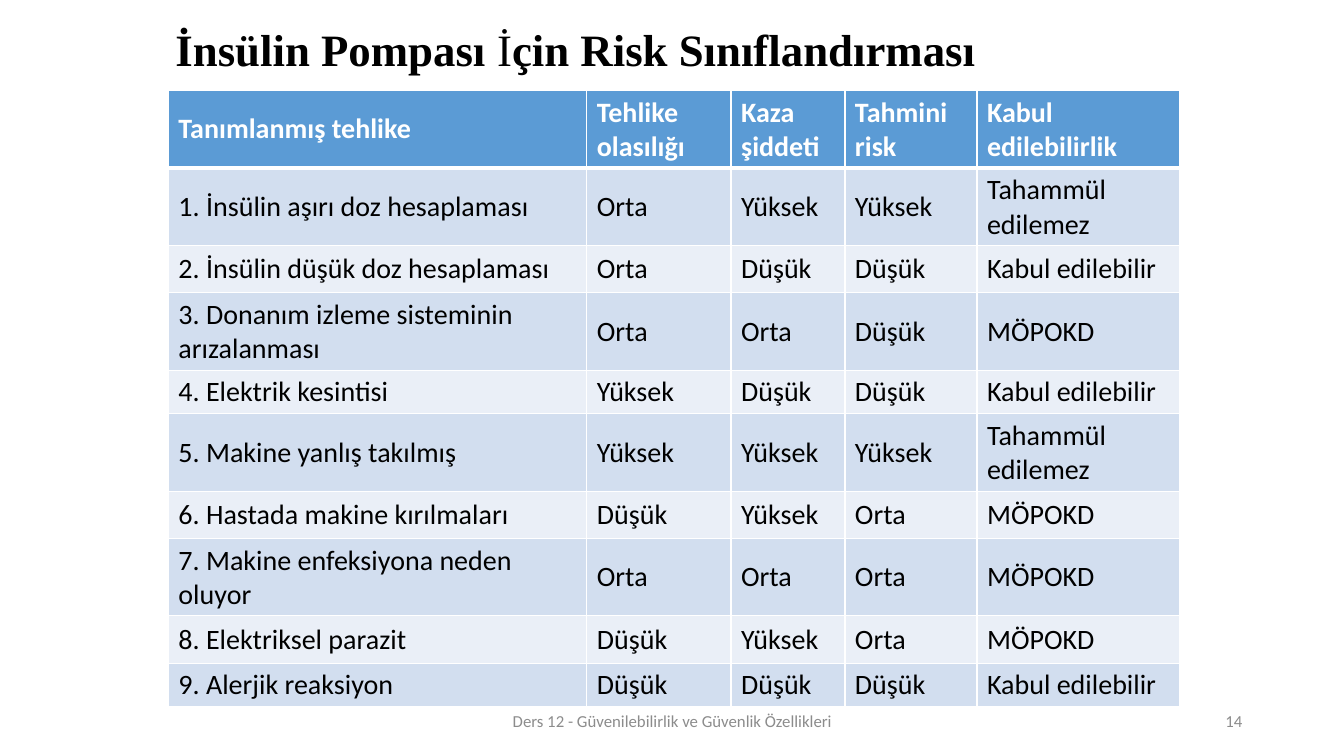
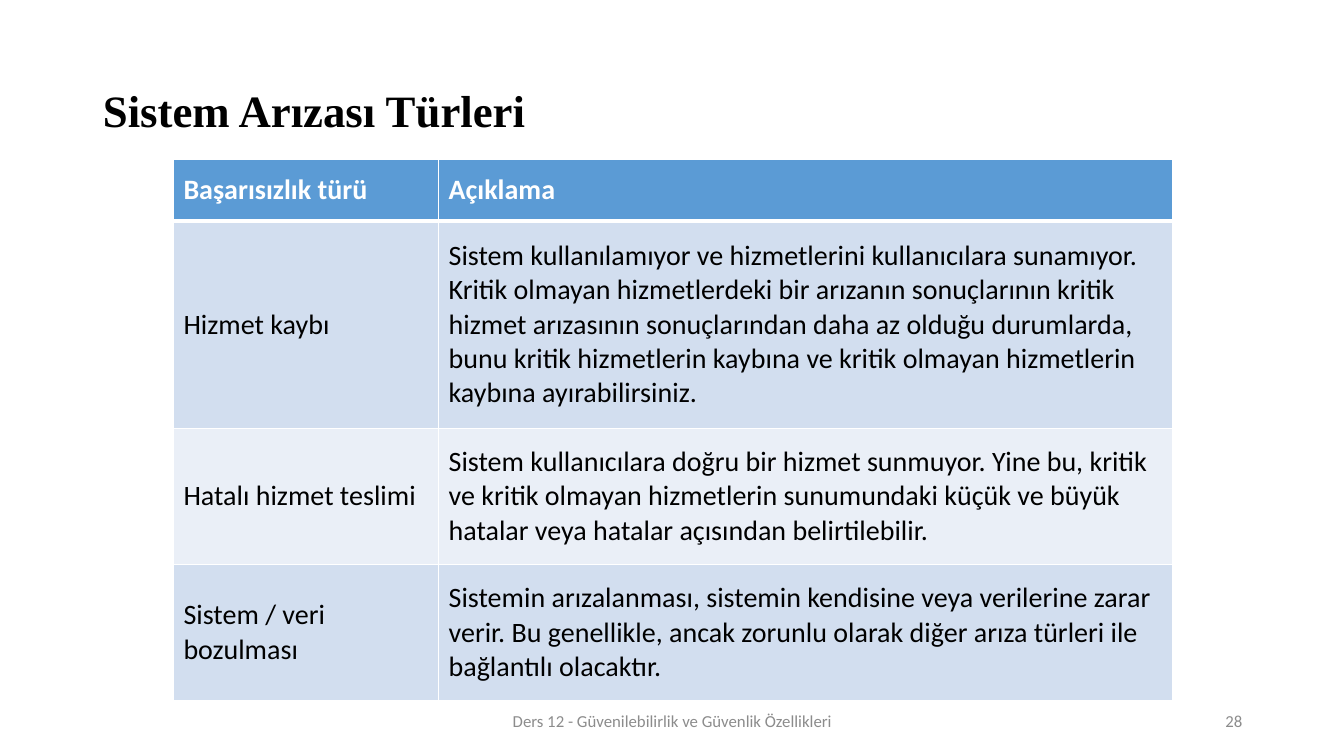
from dataclasses import dataclass

import pptx
import pptx.dml.color
import pptx.enum.text
import pptx.oxml.ns
import pptx.util
from lxml import etree

Inches = pptx.util.Inches
Pt = pptx.util.Pt
Align = pptx.enum.text.PP_ALIGN
Anchor = pptx.enum.text.MSO_ANCHOR


@dataclass(frozen=True)
class Theme:
    title_font: str = "Times New Roman"
    body_font: str = "Calibri"
    title_size: int = 32
    table_size: int = 20
    footer_size: int = 12
    text: str = "000000"
    header_text: str = "FFFFFF"
    footer_text: str = "8C8C8C"
    header_fill: str = "5B9BD5"
    band_fills: tuple = ("D2DEEF", "EAEFF7")
    border: str = "FFFFFF"
    border_width: int = 1
    header_rule_width: int = 3


THEME = Theme()
FOOTER = "Ders 12 - Güvenilebilirlik ve Güvenlik Özellikleri"
TITLE_ONLY = 5

RISK_ROWS = [
    ("Tanımlanmış tehlike", "Tehlike olasılığı", "Kaza şiddeti", "Tahmini risk",
     "Kabul edilebilirlik"),
    ("1. İnsülin aşırı doz hesaplaması", "Orta", "Yüksek", "Yüksek", "Tahammül edilemez"),
    ("2. İnsülin düşük doz hesaplaması", "Orta", "Düşük", "Düşük", "Kabul edilebilir"),
    ("3. Donanım izleme sisteminin arızalanması", "Orta", "Orta", "Düşük", "MÖPOKD"),
    ("4. Elektrik kesintisi", "Yüksek", "Düşük", "Düşük", "Kabul edilebilir"),
    ("5. Makine yanlış takılmış", "Yüksek", "Yüksek", "Yüksek", "Tahammül edilemez"),
    ("6. Hastada makine kırılmaları", "Düşük", "Yüksek", "Orta", "MÖPOKD"),
    ("7. Makine enfeksiyona neden oluyor", "Orta", "Orta", "Orta", "MÖPOKD"),
    ("8. Elektriksel parazit", "Düşük", "Yüksek", "Orta", "MÖPOKD"),
    ("9. Alerjik reaksiyon", "Düşük", "Düşük", "Düşük", "Kabul edilebilir"),
]

FAILURE_ROWS = [
    ("Başarısızlık türü", "Açıklama"),
    ("Hizmet kaybı",
     "Sistem kullanılamıyor ve hizmetlerini kullanıcılara sunamıyor. Kritik olmayan "
     "hizmetlerdeki bir arızanın sonuçlarının kritik hizmet arızasının sonuçlarından "
     "daha az olduğu durumlarda, bunu kritik hizmetlerin kaybına ve kritik olmayan "
     "hizmetlerin kaybına ayırabilirsiniz."),
    ("Hatalı hizmet teslimi",
     "Sistem kullanıcılara doğru bir hizmet sunmuyor. Yine bu, kritik ve kritik olmayan "
     "hizmetlerin sunumundaki küçük ve büyük hatalar veya hatalar açısından "
     "belirtilebilir."),
    ("Sistem / veri bozulması",
     "Sistemin arızalanması, sistemin kendisine veya verilerine zarar verir. Bu "
     "genellikle, ancak zorunlu olarak diğer arıza türleri ile bağlantılı olacaktır."),
]


def rgb(value):
    return pptx.dml.color.RGBColor.from_string(value)


def style_run(run, font, size, color, bold=False):
    run.font.name = font
    run.font.size = Pt(size)
    run.font.color.rgb = rgb(color)
    run.font.bold = bold


def set_title(slide, box, parts):
    """Place the title; parts are (text, bold) pairs."""
    title = slide.shapes.title
    title.left, title.top, title.width, title.height = map(Inches, box)
    frame = title.text_frame
    frame.word_wrap = True
    frame.auto_size = pptx.enum.text.MSO_AUTO_SIZE.NONE
    frame.vertical_anchor = Anchor.MIDDLE
    paragraph = frame.paragraphs[0]
    paragraph.alignment = Align.LEFT
    paragraph.line_spacing = 0.9
    for text, bold in parts:
        run = paragraph.add_run()
        run.text = text
        style_run(run, THEME.title_font, THEME.title_size, THEME.text, bold)


def add_footer_text(slide, left, width, text, alignment):
    footer = slide.shapes.add_textbox(Inches(left), Inches(6.95), Inches(width), Inches(0.4))
    frame = footer.text_frame
    frame.word_wrap = True
    frame.vertical_anchor = Anchor.MIDDLE
    frame.text = text
    frame.paragraphs[0].alignment = alignment
    style_run(frame.paragraphs[0].runs[0], THEME.body_font, THEME.footer_size,
              THEME.footer_text)


def add_slide(deck, title_box, title_parts, number):
    slide = deck.slides.add_slide(deck.slide_layouts[TITLE_ONLY])
    set_title(slide, title_box, title_parts)
    add_footer_text(slide, 9.42, 3, str(number), Align.RIGHT)
    add_footer_text(slide, 4.42, 4.5, FOOTER, Align.CENTER)
    return slide


def set_borders(cell, bottom_width):
    qn = pptx.oxml.ns.qn
    properties = cell._tc.get_or_add_tcPr()
    for side in "LRTB":
        width = bottom_width if side == "B" else THEME.border_width
        line = etree.SubElement(properties, qn(f"a:ln{side}"), w=str(Pt(width)))
        fill = etree.SubElement(line, qn("a:solidFill"))
        etree.SubElement(fill, qn("a:srgbClr"), val=THEME.border)


def format_cell(cell, text, row_index):
    is_header = row_index == 0
    set_borders(cell, THEME.header_rule_width if is_header else THEME.border_width)
    cell.fill.solid()
    band = THEME.band_fills[(row_index - 1) % len(THEME.band_fills)]
    cell.fill.fore_color.rgb = rgb(THEME.header_fill if is_header else band)
    cell.vertical_anchor = Anchor.MIDDLE
    cell.text_frame.text = text
    style_run(cell.text_frame.paragraphs[0].runs[0], THEME.body_font, THEME.table_size,
              THEME.header_text if is_header else THEME.text, is_header)


def add_banded_table(slide, box, column_widths, row_heights, rows):
    table = slide.shapes.add_table(len(rows), len(column_widths), *map(Inches, box)).table
    table.horz_banding = False
    for column, width in zip(table.columns, column_widths):
        column.width = Inches(width)
    for row_index, (row, height, texts) in enumerate(zip(table.rows, row_heights, rows)):
        row.height = Inches(height)
        for cell, text in zip(row.cells, texts):
            format_cell(cell, text, row_index)


def main():
    deck = pptx.Presentation()
    deck.slide_width, deck.slide_height = Inches(13.33), Inches(7.5)

    risks = add_slide(
        deck, (1.64, -0.11, 9, 1.25),
        [("İnsülin Pompası ", True), ("İ", False), ("çin Risk Sınıflandırması", True)], 14)
    add_banded_table(
        risks, (1.67, 0.9, 10.03, 6.11), (4.15, 1.43, 1.13, 1.31, 2.01),
        (0.6, 0.6, 0.47, 0.66, 0.35, 0.6, 0.47, 0.6, 0.47, 0.35), RISK_ROWS)

    failures = add_slide(
        deck, (0.92, 0.4, 11.5, 1.45), [("Sistem Arızası Türleri", True)], 28)
    add_banded_table(
        failures, (1.72, 1.58, 9.91, 5.38), (2.63, 7.28),
        (0.61, 2.06, 1.35, 1.35), FAILURE_ROWS)

    deck.save("out.pptx")


if __name__ == "__main__":
    main()
